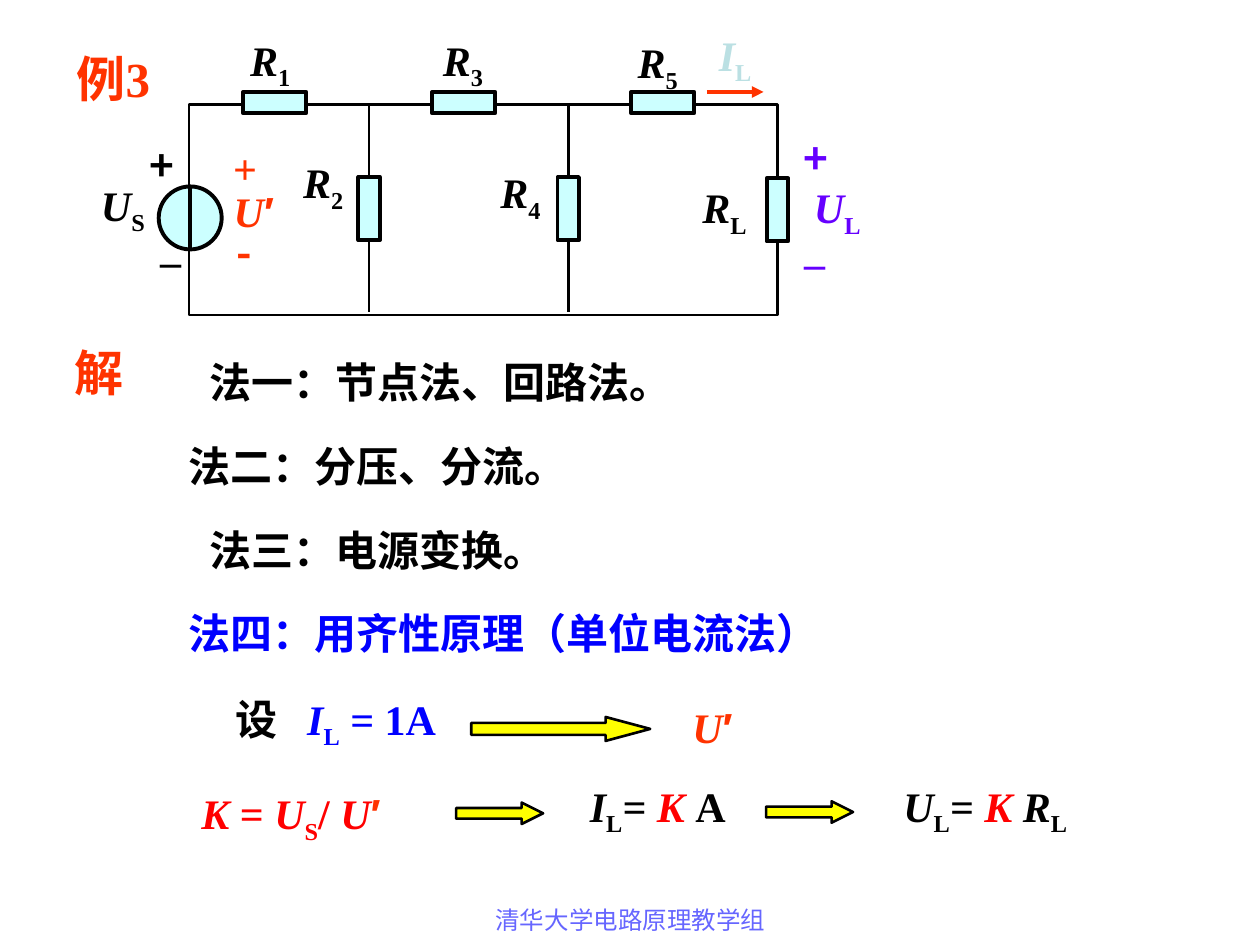
from dataclasses import dataclass
from typing import Optional

from lxml import etree
from pptx import Presentation
from pptx.dml.color import RGBColor
from pptx.enum.shapes import MSO_CONNECTOR, MSO_SHAPE
from pptx.enum.text import MSO_ANCHOR, PP_ALIGN
from pptx.oxml.ns import qn
from pptx.util import Inches, Pt

RECT, OVAL, ARROW = MSO_SHAPE.RECTANGLE, MSO_SHAPE.OVAL, MSO_SHAPE.RIGHT_ARROW
LINE = MSO_CONNECTOR.STRAIGHT
MIDDLE, TOP = MSO_ANCHOR.MIDDLE, MSO_ANCHOR.TOP
LEFT, CENTER = PP_ALIGN.LEFT, PP_ALIGN.CENTER

BLACK = RGBColor(0x00, 0x00, 0x00)
ORANGE = RGBColor(0xFF, 0x33, 0x00)
RED = RGBColor(0xFF, 0x00, 0x00)
BLUE = RGBColor(0x00, 0x00, 0xFF)
VIOLET = RGBColor(0x66, 0x00, 0xFF)
PALE = RGBColor(0xBB, 0xE0, 0xE3)
CYAN = RGBColor(0xCC, 0xFF, 0xFF)
YELLOW = RGBColor(0xFF, 0xFF, 0x00)
LILAC = RGBColor(0x66, 0x66, 0xFF)

SERIF, SANS, HAN = "Times New Roman", "Arial", "Noto Sans CJK SC"

# The slide is a grid of 100 columns and 75 rows of square cells
COLS, ROWS = 100, 75
CELL = Inches(0.1)


@dataclass(frozen=True)
class Box:
    col: float
    row: float
    wide: float
    high: float

    def place(self) -> list[int]:
        return [cells(n) for n in (self.col, self.row, self.wide, self.high)]


@dataclass(frozen=True)
class Piece:
    text: str
    slant: bool = False
    low: bool = False
    color: Optional[RGBColor] = None
    font: Optional[str] = None


@dataclass(frozen=True)
class Label:
    box: Box
    pieces: tuple[Piece, ...]
    color: RGBColor = BLACK
    size: int = 24
    font: str = SERIF
    bold: bool = True
    align: int = CENTER
    anchor: int = MIDDLE
    wrap: bool = False
    tab: float = 0


def cells(count: float) -> int:
    return round(count * CELL)


def var(name: str, index: str = "") -> tuple[Piece, ...]:
    """An italic quantity with an optional lowered index."""
    head = Piece(name, slant=True)
    return (head, Piece(index, low=True)) if index else (head,)


def plain(text: str) -> tuple[Piece, ...]:
    return (Piece(text),)


def write(shapes, label: Label) -> None:
    frame = shapes.add_textbox(*label.box.place()).text_frame
    frame.word_wrap, frame.vertical_anchor = label.wrap, label.anchor
    para = frame.paragraphs[0]
    para.alignment = label.align
    if label.tab:
        stops = etree.SubElement(para._p.get_or_add_pPr(), qn("a:tabLst"))
        etree.SubElement(stops, qn("a:tab"), pos=str(cells(label.tab)), algn="l")
    font = para.font
    font.name, font.size, font.bold = label.font, Pt(label.size), label.bold
    font.color.rgb = label.color
    base = para._p.pPr.find(qn("a:defRPr"))
    etree.SubElement(base, qn("a:ea"), typeface=HAN)
    for piece in label.pieces:
        run = para.add_run()
        run.text = piece.text
        if piece.slant:
            run.font.italic = True
        if piece.color is not None:
            run.font.color.rgb = piece.color
        if piece.font:
            run.font.name = piece.font
        if piece.low:
            run._r.get_or_add_rPr().set("baseline", "-25000")


def block(shapes, kind: int, box: Box, fill: Optional[RGBColor],
          weight: float, turn: int = 0):
    shape = shapes.add_shape(kind, *box.place())
    shape.shadow.inherit = False
    if fill is None:
        shape.fill.background()
    else:
        shape.fill.solid()
        shape.fill.fore_color.rgb = fill
    shape.line.color.rgb, shape.line.width = BLACK, Pt(weight)
    shape.rotation = turn
    return shape


def wire(shapes, start: tuple[float, float], end: tuple[float, float],
         weight: float, color: RGBColor = BLACK, tip: bool = False) -> None:
    line = shapes.add_connector(LINE, *(cells(n) for n in start + end))
    line.line.color.rgb, line.line.width = color, Pt(weight)
    if tip:
        etree.SubElement(line.line._get_or_add_ln(), qn("a:tailEnd"), type="triangle")
    etree.SubElement(line._element.spPr, qn("a:effectLst"))


def circuit(shapes) -> None:
    # Outer loop and the two inner branches
    block(shapes, RECT, Box(15, 8.3, 46.7, 16.7), None, 1.5)
    for col in (29.3, 45.1):
        wire(shapes, (col, 8.2), (col, 24.8), 1.5)
    # Voltage source
    block(shapes, OVAL, Box(12.6, 14.8, 5, 5), CYAN, 2.25)
    wire(shapes, (15.1, 14.8), (15.1, 19.8), 2.25)
    # Series resistors, then upright ones
    for col in (19.3, 34.3, 50.1):
        block(shapes, RECT, Box(col, 7.3, 5, 1.7), CYAN, 2.25)
    for col, row in ((26.8, 15.7), (42.6, 15.7), (59.2, 15.8)):
        block(shapes, RECT, Box(col, row, 5, 1.7), CYAN, 2.25, 270)
    # Load current
    wire(shapes, (56.1, 7.3), (60.6, 7.3), 2.25, ORANGE, True)


PRIME = var("U") + (Piece("′", font=SANS, color=ORANGE),)
KAY = Piece(" K ", slant=True, color=RED)
EQUAL = Piece("=", slant=True)

# Quantities with an index: name, index, column, row, width, colour
NAMES = (
    ("R", "1", 18.4, 2.2, 6.1, BLACK), ("R", "3", 33.4, 2.2, 6.7, BLACK),
    ("R", "5", 49.3, 2.4, 5.8, BLACK), ("R", "2", 22.6, 11.9, 6.1, BLACK),
    ("R", "4", 38.4, 12.7, 5.8, BLACK), ("R", "L", 54.2, 13.9, 6.6, BLACK),
    ("U", "S", 7, 13.7, 5.5, BLACK), ("U", "L", 61.9, 13.9, 9.1, VIOLET),
    ("I", "L", 54.2, 1.8, 8.3, PALE),
)

# Polarity signs: sign, column, row, width, colour, font
SIGNS = (
    ("+", 10.9, 10.6, 3.9, BLACK, HAN), ("–", 11.7, 18.1, 3.7, BLACK, SERIF),
    ("+", 62.8, 10, 3.9, VIOLET, HAN), ("–", 62.8, 18.3, 3.7, VIOLET, SERIF),
    ("+", 17.5, 10.8, 3.9, ORANGE, SERIF), ("-", 17.8, 17.5, 3.1, ORANGE, HAN),
)

# Methods: text, width, colour
METHODS = (
    ("法一：节点法、回路法。", 38.6, BLACK), ("法二：分压、分流。", 32, BLACK),
    ("法三：电源变换。", 28.6, BLACK), ("法四：用齐性原理（单位电流法）", 52, BLUE),
)

LABELS = (
    # Headings
    Label(Box(4.6, 3.3, 8.8, 5.7), plain("例3"), ORANGE, 28),
    Label(Box(4.9, 26.7, 5.9, 5.7), plain("解"), ORANGE, 28),
    # Unit current and the source voltage it needs
    Label(Box(17.4, 14.2, 5.5, 5), PRIME, ORANGE),
    Label(Box(53.8, 55.2, 5.5, 5), PRIME, ORANGE),
    Label(Box(17.7, 54.5, 19, 5.6),
          (Piece("设\t", color=BLACK),) + var("I", "L") + plain(" = 1A"),
          BLUE, align=LEFT, wrap=True, tab=5.7),
    # Scaling formulas
    Label(Box(15, 62, 17.3, 5.6),
          var("K ") + plain("= ") + var("U", "S") + plain("/ ") + PRIME,
          RED, align=LEFT, wrap=True),
    Label(Box(45.8, 61.4, 12.8, 5.6), var("I", "L") + (EQUAL, KAY, Piece("A"))),
    Label(Box(70.7, 61.4, 15, 5.6), var("U", "L") + (EQUAL, KAY) + var("R", "L")),
    # Footer
    Label(Box(34.2, 71.3, 31.7, 3.7), plain("清华大学电路原理教学组"), LILAC, 14,
          bold=False, anchor=TOP, wrap=True),
)

# Implication arrows: box and head length
ARROWS = (
    (Box(37.4, 56.9, 14.2, 1.9), 1.86),
    (Box(36.2, 63.7, 6.9, 1.7), 1), (Box(60.8, 63.6, 6.9, 1.7), 1),
)


def main() -> None:
    deck = Presentation()
    deck.slide_width, deck.slide_height = cells(COLS), cells(ROWS)
    shapes = deck.slides.add_slide(deck.slide_layouts[6]).shapes
    circuit(shapes)
    for name, index, col, row, wide, color in NAMES:
        write(shapes, Label(Box(col, row, wide, 5.6), var(name, index), color, wrap=True))
    for sign, col, row, wide, color, font in SIGNS:
        write(shapes, Label(Box(col, row, wide, 5), plain(sign), color, font=font))
    for step, (text, wide, color) in enumerate(METHODS):
        write(shapes, Label(Box(14, 27.8 + 6.65 * step, wide, 5), plain(text), color))
    for label in LABELS:
        write(shapes, label)
    for box, head in ARROWS:
        block(shapes, ARROW, box, YELLOW, 1.5).adjustments[1] = head
    deck.save("out.pptx")


if __name__ == "__main__":
    main()
